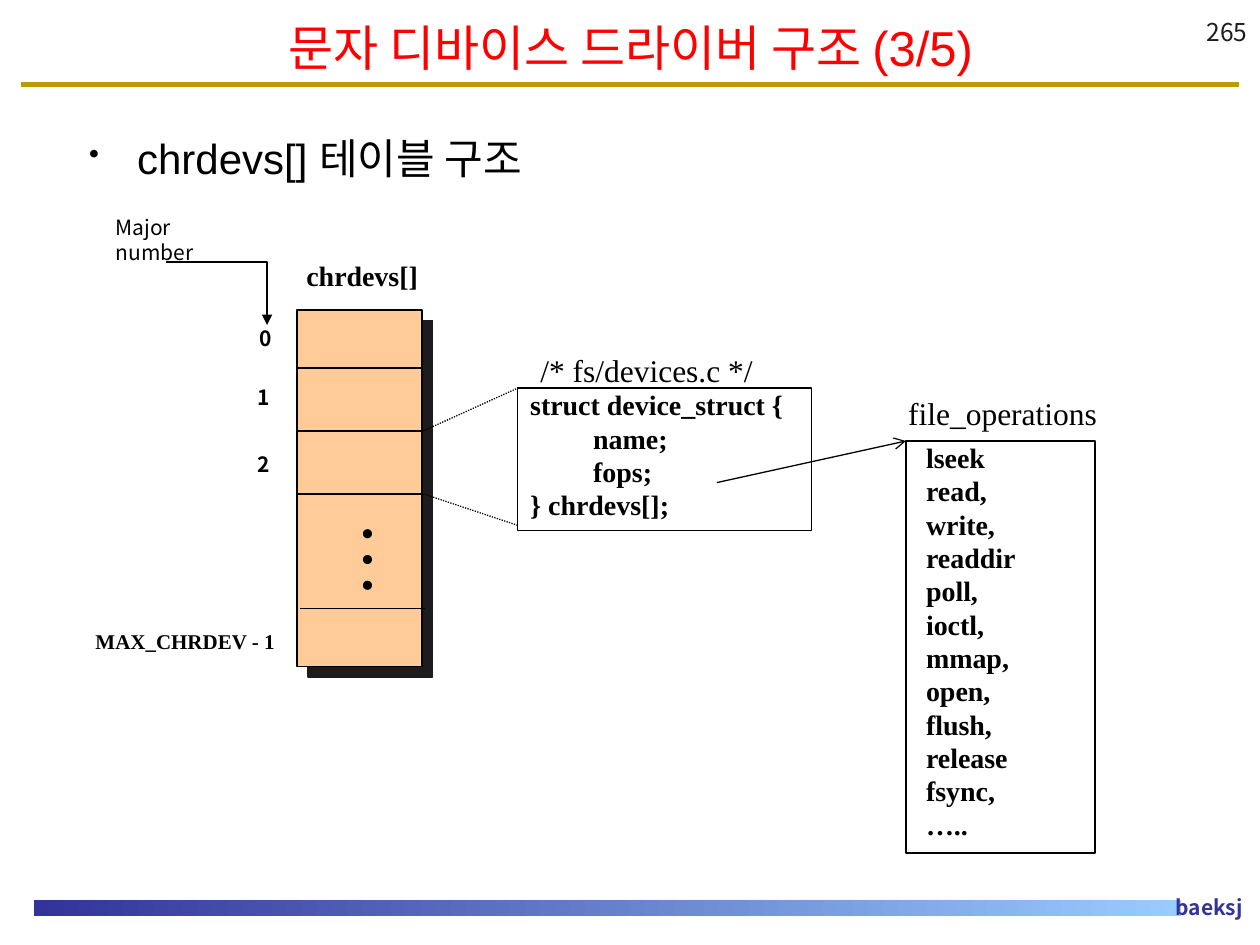
from lxml import etree
from pptx import Presentation
from pptx import util as u
from pptx.dml.color import RGBColor
from pptx.enum import dml, shapes, text
from pptx.oxml.ns import qn

BLACK = RGBColor(0x00, 0x00, 0x00)
RED = RGBColor(0xFF, 0x00, 0x00)
GOLD = RGBColor(0xBE, 0x9A, 0x00)
NAVY = RGBColor(0x33, 0x33, 0x99)
SKY = RGBColor(0x99, 0xCC, 0xFF)
PEACH = RGBColor(0xFF, 0xCC, 0x99)
CHARCOAL = RGBColor(0x1C, 0x1C, 0x1C)

SERIF = "Times New Roman"
SANS = "Arial"
KOREAN = "Noto Sans CJK KR"
LEFT, CENTER, RIGHT = text.PP_ALIGN.LEFT, text.PP_ALIGN.CENTER, text.PP_ALIGN.RIGHT
TOP, MIDDLE, BOTTOM = text.MSO_ANCHOR.TOP, text.MSO_ANCHOR.MIDDLE, text.MSO_ANCHOR.BOTTOM


def add_xml(parent, tag, **attrs):
    return etree.SubElement(parent, qn(tag), attrs)


class Sheet:
    def __init__(self, slide):
        self.slide = slide

    def set_text(self, sp, lines, size, font=SERIF, color=BLACK, bold=False,
                 align=LEFT, anchor=TOP, wrap=True, spacing=None, bullet=None):
        tf = sp.text_frame
        tf.word_wrap = wrap
        tf.auto_size = (text.MSO_AUTO_SIZE.NONE if wrap
                        else text.MSO_AUTO_SIZE.SHAPE_TO_FIT_TEXT)
        tf.vertical_anchor = anchor
        for i, line in enumerate(lines):
            p = tf.paragraphs[0] if i == 0 else tf.add_paragraph()
            p.add_run().text = line
            p.alignment = align
            if spacing:
                p.line_spacing = spacing
                p.space_before = u.Pt(0.23 * size if i else 0)
            if bullet:
                self.bullet(p, bullet)
            p.font.size = u.Pt(size)
            p.font.name = font
            p.font.bold = bold
            p.font.color.rgb = color
            add_xml(p._p.pPr.find(qn("a:defRPr")), "a:ea", typeface=KOREAN)
        return sp

    def bullet(self, p, char, indent=0.38):
        pPr = p._p.get_or_add_pPr()
        pPr.set("marL", str(u.Inches(indent)))
        pPr.set("indent", str(-u.Inches(indent)))
        add_xml(add_xml(pPr, "a:buClr"), "a:srgbClr", val=str(BLACK))
        add_xml(pPr, "a:buSzPct", val="70000")
        add_xml(pPr, "a:buChar", char=char)

    def title(self, line, x, y, w, h, **style):
        sp = self.slide.shapes.title
        sp.left, sp.top, sp.width, sp.height = map(u.Inches, (x, y, w, h))
        return self.set_text(sp, [line], anchor=MIDDLE, align=CENTER, **style)

    def label(self, line, x, y, w, h, size, **style):
        sp = self.slide.shapes.add_textbox(*map(u.Inches, (x, y, w, h)))
        return self.set_text(sp, [line], size, **style)

    def rect(self, x, y, w, h, fill=None, line=None, width=0.75):
        sp = self.slide.shapes.add_shape(
            shapes.MSO_SHAPE.RECTANGLE, *map(u.Inches, (x, y, w, h)))
        sp.shadow.inherit = False
        if fill is None:
            sp.fill.background()
        else:
            sp.fill.solid()
            sp.fill.fore_color.rgb = fill
        if line is None:
            sp.line.fill.background()
        else:
            sp.line.color.rgb = line
            sp.line.width = u.Pt(width)
        return sp

    def gradient_bar(self, x, y, w, h, *colors):
        sp = self.rect(x, y, w, h)
        sp.fill.gradient()
        sp.fill.gradient_angle = 0
        for stop, color in zip(sp.fill.gradient_stops, colors):
            stop.color.rgb = color

    def code_box(self, lines, x, y, w, h, inset=0.1):
        sp = self.rect(x, y, w, h, line=BLACK)
        sp.text_frame.margin_left = u.Inches(inset)
        self.set_text(sp, lines, 16, bold=True, spacing=0.8)

    def drop_shadow(self, sp, color, distance):
        effects = sp._element.spPr.find(qn("a:effectLst"))
        shadow = add_xml(effects, "a:outerShdw", dist=str(u.Pt(distance)),
                         dir=str(45 * 60000), algn="ctr", rotWithShape="0")
        add_xml(shadow, "a:srgbClr", val=str(color))

    def arrowhead(self, sp, kind):
        add_xml(sp._element.spPr.find(qn("a:ln")), "a:tailEnd", type=kind)

    def line(self, start, end, width=0.75, color=BLACK, dash=None, head=None):
        cn = self.slide.shapes.add_connector(
            shapes.MSO_CONNECTOR.STRAIGHT, *map(u.Inches, (*start, *end)))
        cn.line.color.rgb = color
        cn.line.width = u.Pt(width)
        if dash:
            cn.line.dash_style = dash
        if head:
            self.arrowhead(cn, head)
        add_xml(cn._element.spPr, "a:effectLst")

    def elbow_arrow(self, points, width=1):
        start, *rest = [tuple(map(u.Inches, pt)) for pt in points]
        fb = self.slide.shapes.build_freeform(*start)
        fb.add_line_segments(rest, close=False)
        sp = fb.convert_to_shape()
        sp.shadow.inherit = False
        sp.fill.background()
        sp.line.color.rgb = BLACK
        sp.line.width = u.Pt(width)
        self.arrowhead(sp, "triangle")


def main():
    prs = Presentation()
    prs.slide_width, prs.slide_height = u.Inches(10), u.Inches(7.5)
    s = Sheet(prs.slides.add_slide(prs.slide_layouts[5]))

    # Page frame
    s.line((0.17, 0.67), (9.83, 0.67), width=3, color=GOLD)
    s.gradient_bar(0.27, 7.14, 9.1, 0.13, NAVY, SKY)
    s.label("baeksj ", 8.86, 7.05, 1.14, 0.3, 12, font=KOREAN, color=NAVY,
            bold=True, align=RIGHT)
    s.label("265", 7.92, 0.17, 2.08, 0.25, 14, font=KOREAN, color=CHARCOAL,
            align=RIGHT, anchor=BOTTOM)

    # Title and heading
    s.title("문자 디바이스 드라이버 구조 (3/5)", 0.17, 0.08, 9.67, 0.58,
            size=28, font=SANS, color=RED)
    s.label("chrdevs[] 테이블 구조", 0.61, 1, 9, 0.58, 24, font=SANS, bullet="•")

    # Structure definitions
    s.code_box(["struct device_struct {", "\tname;", "\tfops;", "} chrdevs[];"],
               4.11, 3.08, 2.33, 1.13)
    s.code_box(["lseek", "read,", "write,", "readdir", "poll,", "ioctl,",
                "mmap,", "open,", "flush,", "release", "fsync,", "….."],
               7.19, 3.5, 1.5, 3.27, inset=0.16)
    s.label("file_operations", 7.11, 3.08, 1.7, 0.4, 18, wrap=False)
    s.label("/* fs/devices.c */", 4.19, 2.74, 1.89, 0.4, 18, wrap=False)
    s.line((5.69, 3.83), (7.19, 3.5), head="arrow")

    # Device table
    table = s.rect(2.36, 2.46, 0.99, 2.83, fill=PEACH, line=BLACK, width=1)
    s.drop_shadow(table, CHARCOAL, 8.5)
    for x, y in ((2.36, 2.92), (2.36, 3.42), (2.35, 3.92), (2.38, 4.83)):
        s.line((x, y), (x + 0.99, y), width=1)
    s.label("chrdevs[]", 2.24, 2, 1.27, 0.37, 16, bold=True, align=CENTER,
            anchor=MIDDLE)
    dots = s.label("…", 2.62, 4.04, 0.93, 0.71, 44, align=CENTER, wrap=False)
    dots._element.txBody.bodyPr.set("vert", "eaVert")

    # Major numbers
    s.label("Major number", 0.82, 1.75, 1.2, 0.3, 12, font=KOREAN, anchor=MIDDLE)
    s.elbow_arrow([(1.32, 2.08), (2.12, 2.08), (2.12, 2.58)])
    for number, (x, y) in enumerate(((1.96, 2.53), (1.94, 3), (1.94, 3.53))):
        s.label(str(number), x, y, 0.3, 0.3, 12, font=KOREAN, bold=True,
                align=CENTER, anchor=MIDDLE, wrap=False)
    s.label("MAX_CHRDEV - 1", 0.66, 4.94, 1.67, 0.3, 12, bold=True)

    # Zoom lines from entry 2 to its structure
    for y1, y2 in ((3.42, 3.08), (3.92, 4.17)):
        s.line((3.36, y1), (4.11, y2), dash=dml.MSO_LINE.ROUND_DOT)

    prs.save("out.pptx")


if __name__ == "__main__":
    main()
